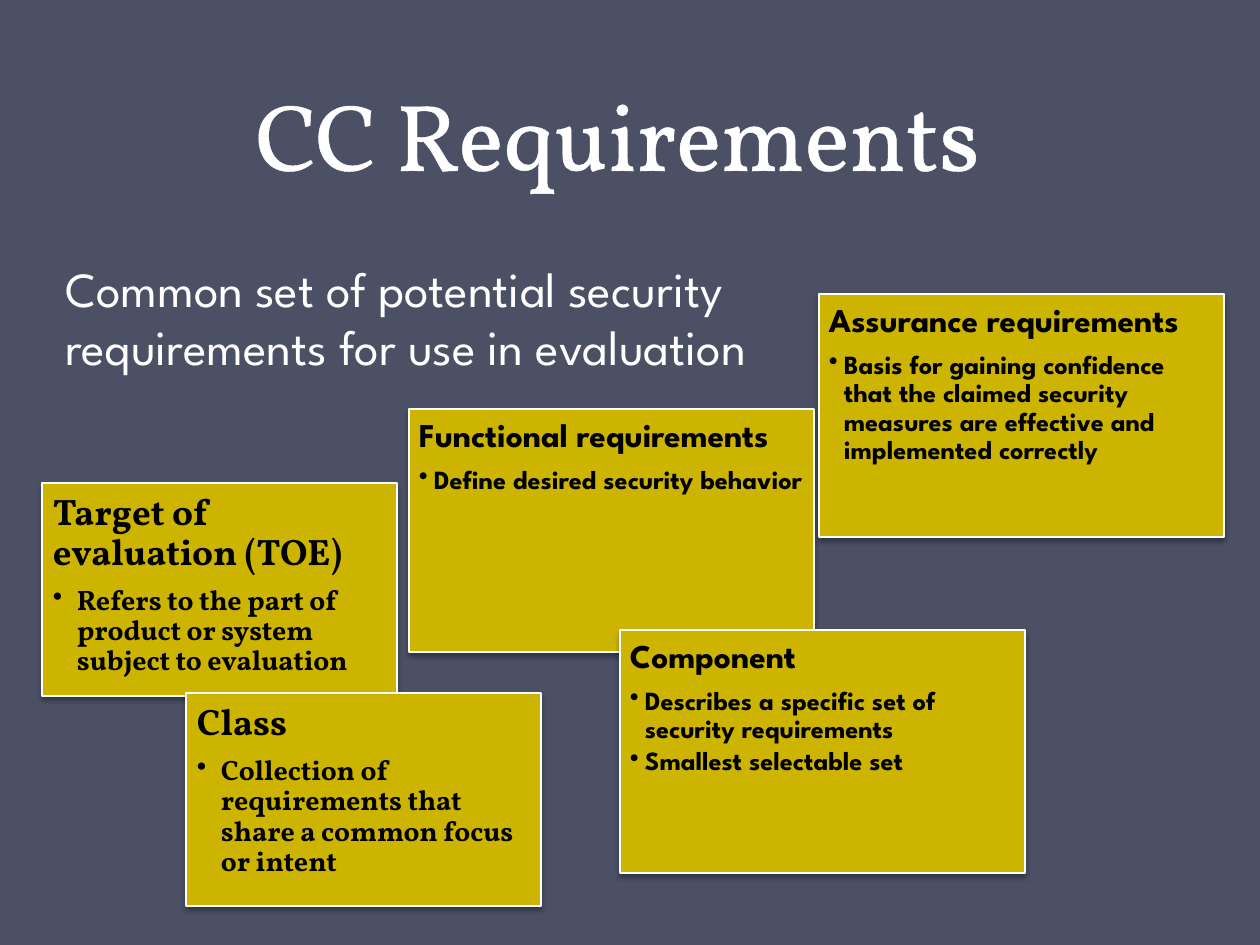
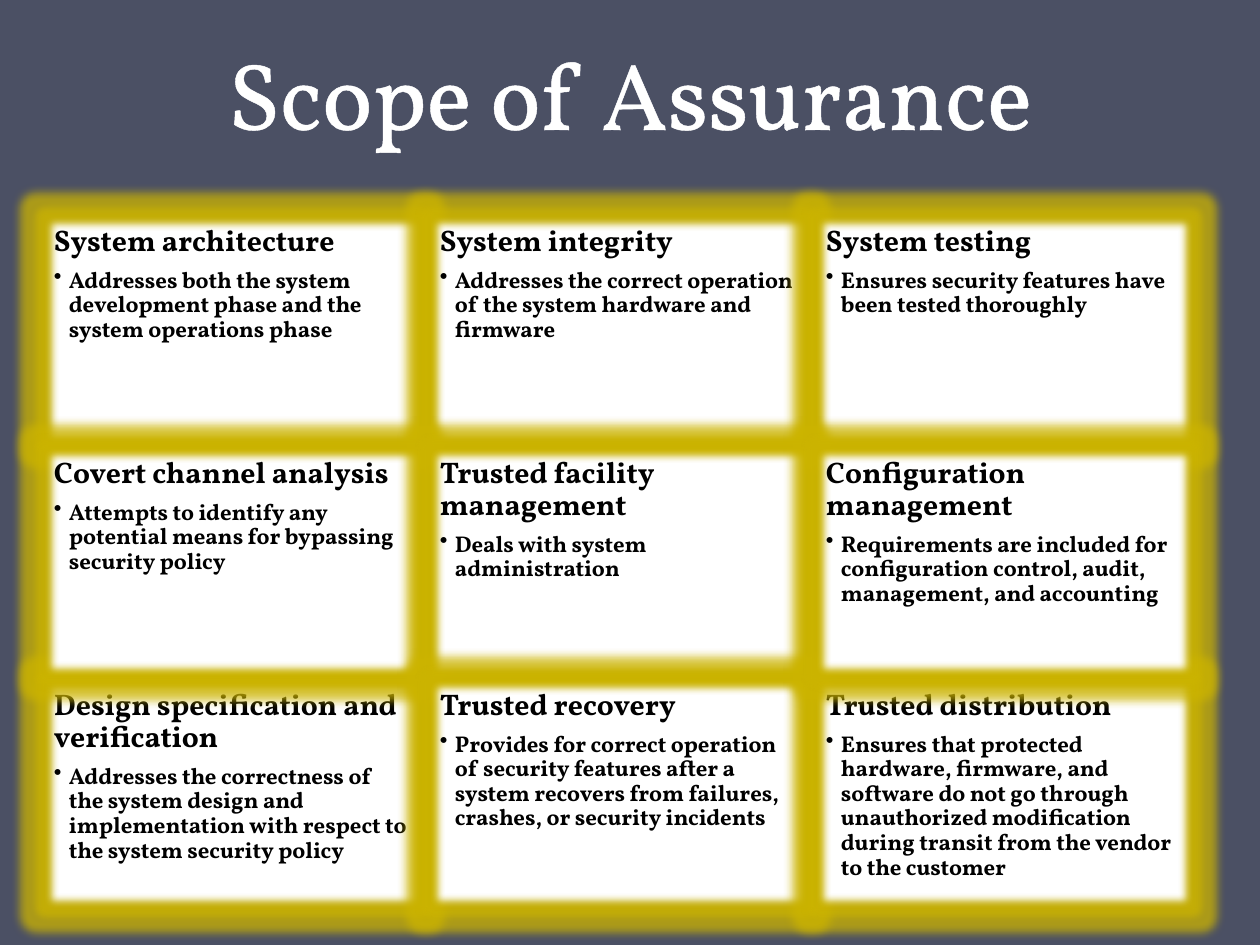
import pptx
import pptx.dml.color
import pptx.enum.shapes
import pptx.enum.text
import pptx.oxml
import pptx.oxml.ns
import pptx.util
from lxml import etree

PX_PER_INCH = 126
SERIF, SANS = "Vollkorn", "League Spartan"
SLATE, GOLD, WHITE, BLACK = "4B5064", "CCB400", "FFFFFF", "000000"

CARD_SHADOW = f"""<a:outerShdw {pptx.oxml.ns.nsdecls('a')} blurRad="39370" dist="22860" dir="5400000" rotWithShape="0">
<a:srgbClr val="{BLACK}"><a:alpha val="35000"/></a:srgbClr></a:outerShdw>"""
CELL_GLOW = f"""<a:glow {pptx.oxml.ns.nsdecls('a')} rad="139700">
<a:srgbClr val="{GOLD}"><a:alpha val="75000"/></a:srgbClr></a:glow>"""
CELL_SOFT_EDGE = f'<a:softEdge {pptx.oxml.ns.nsdecls("a")} rad="50800"/>'
TITLE_OUTLINE = f"""<a:ln {pptx.oxml.ns.nsdecls('a')} w="18415">
<a:solidFill><a:srgbClr val="{WHITE}"/></a:solidFill></a:ln>"""


def px(length):
    return pptx.util.Emu(round(length * 914400 / PX_PER_INCH))


def color(hex_value):
    return pptx.dml.color.RGBColor.from_string(hex_value)


def add_text(frame, text, size, font=SERIF, fill=BLACK, bold=False, align=None,
             line_spacing=None, after_percent=None, bullet_indent=None):
    paragraph = frame.paragraphs[0]
    if paragraph.runs:
        paragraph = frame.add_paragraph()
    if align is not None:
        paragraph.alignment = align
    if line_spacing is not None:
        paragraph.line_spacing = line_spacing
    properties = paragraph._p.get_or_add_pPr()
    if after_percent is not None:
        after = etree.SubElement(properties, pptx.oxml.ns.qn("a:spcAft"))
        etree.SubElement(after, pptx.oxml.ns.qn("a:spcPct"), val=str(after_percent * 1000))
    if bullet_indent is not None:
        paragraph.level = 1
        properties.set("marL", str(px(bullet_indent)))
        properties.set("indent", str(-px(bullet_indent)))
        etree.SubElement(properties, pptx.oxml.ns.qn("a:buChar"), char="•")
    run = paragraph.add_run()
    run.text = text
    run.font.size = pptx.util.Pt(size)
    run.font.name = font
    run.font.bold = bold
    run.font.color.rgb = color(fill)
    return run


class Deck:
    def __init__(self):
        self.presentation = pptx.Presentation()
        self.presentation.slide_width = px(1260)
        self.presentation.slide_height = px(945)
        self.slide = None

    def add_slide(self, title, left, top, width, height):
        self.slide = self.presentation.slides.add_slide(self.presentation.slide_layouts[5])
        background = self.slide.background.fill
        background.solid()
        background.fore_color.rgb = color(SLATE)
        heading = self.slide.shapes.title
        heading.left, heading.top = px(left), px(top)
        heading.width, heading.height = px(width), px(height)
        frame = heading.text_frame
        frame.auto_size = pptx.enum.text.MSO_AUTO_SIZE.NONE
        frame.vertical_anchor = pptx.enum.text.MSO_ANCHOR.BOTTOM
        run = add_text(frame, title, size=54, fill=WHITE, align=pptx.enum.text.PP_ALIGN.CENTER,
                       line_spacing=pptx.util.Pt(58))
        run.font._element.insert(0, pptx.oxml.parse_xml(TITLE_OUTLINE))

    def add_intro(self, text, left, top, width, height):
        intro = self.slide.shapes.add_textbox(px(left), px(top), px(width), px(height))
        intro.text_frame.word_wrap = True
        intro.text_frame.auto_size = pptx.enum.text.MSO_AUTO_SIZE.SHAPE_TO_FIT_TEXT
        add_text(intro.text_frame, text, size=28, font=SANS, fill=WHITE)

    def add_card(self, heading, points, left, top, width, height, heading_size, point_size,
                 inset, bullet_indent, font=SERIF, fill=GOLD, line=WHITE, effects=(CARD_SHADOW,)):
        card = self.slide.shapes.add_shape(pptx.enum.shapes.MSO_SHAPE.RECTANGLE,
                                           px(left), px(top), px(width), px(height))
        card.fill.solid()
        card.fill.fore_color.rgb = color(fill)
        if line:
            card.line.color.rgb = color(line)
            card.line.width = pptx.util.Pt(0.75)
        else:
            card.line.fill.background()
        card.shadow.inherit = False
        effect_list = card._element.spPr.find(pptx.oxml.ns.qn("a:effectLst"))
        for effect in effects:
            effect_list.append(pptx.oxml.parse_xml(effect))
        frame = card.text_frame
        frame.word_wrap = True
        frame.vertical_anchor = pptx.enum.text.MSO_ANCHOR.TOP
        frame.margin_left = frame.margin_right = px(inset)
        frame.margin_top = frame.margin_bottom = px(inset)
        shared = dict(font=font, bold=True, align=pptx.enum.text.PP_ALIGN.LEFT, line_spacing=0.9)
        add_text(frame, heading, size=heading_size, after_percent=35, **shared)
        for point in points:
            add_text(frame, point, size=point_size, after_percent=15,
                     bullet_indent=bullet_indent, **shared)

    def save(self):
        self.presentation.save("out.pptx")


def build_requirements(deck):
    deck.add_slide("CC Requirements", 0, -24, 1235, 220)
    evaluation_style = dict(width=355, height=213, heading_size=21, point_size=16,
                            inset=11, bullet_indent=24)
    requirement_style = dict(width=405, height=243, heading_size=19, point_size=15,
                             inset=10, bullet_indent=15, font=SANS)
    cards = [
        ("Target of evaluation (TOE)",
         ["Refers to the part of product or system subject to evaluation"],
         42, 483, evaluation_style),
        ("Class", ["Collection of requirements that share a common focus or intent"],
         186, 693, evaluation_style),
        ("Functional requirements", ["Define desired security behavior"],
         409, 409, requirement_style),
        ("Assurance requirements",
         ["Basis for gaining confidence that the claimed security measures are effective "
          "and implemented correctly"],
         819, 294, requirement_style),
        ("Component",
         ["Describes a specific set of security requirements", "Smallest selectable set"],
         620, 630, requirement_style),
    ]
    for heading, points, left, top, style in cards:
        deck.add_card(heading, points, left, top, **style)
    deck.add_intro("Common set of potential security requirements for use in evaluation",
                   53, 252, 756, 229)


def build_assurance(deck):
    deck.add_slide("Scope of Assurance", 63, 0, 1134, 155)
    areas = [
        (0, 0, "System architecture",
         "Addresses both the system development phase and the system operations phase"),
        (0, 1, "System integrity",
         "Addresses the correct operation of the system hardware and firmware"),
        (0, 2, "System testing", "Ensures security features have been tested thoroughly"),
        (2, 0, "Design specification and verification",
         "Addresses the correctness of the system design and implementation with respect "
         "to the system security policy"),
        (1, 0, "Covert channel analysis",
         "Attempts to identify any potential means for bypassing security policy"),
        (1, 1, "Trusted facility management", "Deals with system administration"),
        (2, 1, "Trusted recovery",
         "Provides for correct operation of security features after a system recovers "
         "from failures, crashes, or security incidents"),
        (2, 2, "Trusted distribution",
         "Ensures that protected hardware, firmware, and software do not go through "
         "unauthorized modification during transit from the vendor to the customer"),
        (1, 2, "Configuration management",
         "Requirements are included for configuration control, audit, management, "
         "and accounting"),
    ]
    for row, column, heading, point in areas:
        deck.add_card(heading, [point], 45 + 386 * column, 217 + 232 * row, 375, 226,
                      heading_size=17, point_size=13, inset=9, bullet_indent=15,
                      fill=WHITE, line=None, effects=(CELL_GLOW, CELL_SOFT_EDGE))


def main():
    deck = Deck()
    build_requirements(deck)
    build_assurance(deck)
    deck.save()


if __name__ == "__main__":
    main()
